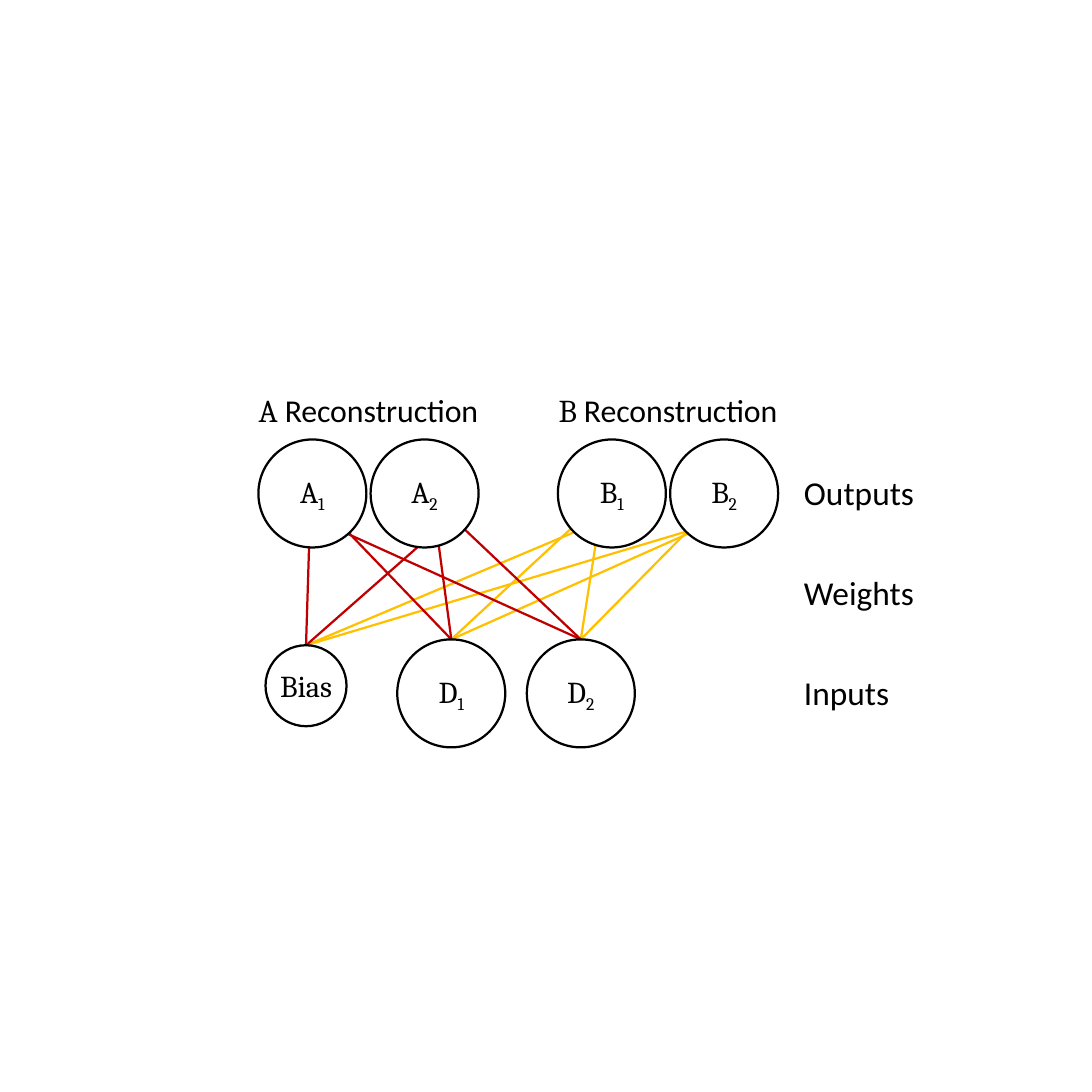
from math import cos, radians, sin

from lxml.etree import SubElement
from pptx import Presentation
from pptx.dml.color import RGBColor
from pptx.enum.shapes import MSO_CONNECTOR, MSO_SHAPE
from pptx.enum.text import MSO_ANCHOR, PP_ALIGN
from pptx.oxml.ns import qn
from pptx.util import Pt

BLACK = RGBColor(0x00, 0x00, 0x00)
WHITE = RGBColor(0xFF, 0xFF, 0xFF)
RED = RGBColor(0xC0, 0x00, 0x00)
GOLD = RGBColor(0xFF, 0xC0, 0x00)
SERIF, SANS = "Cambria", "Calibri"

LAYERS = ["Outputs", "Weights", "Inputs"]
OUTPUT_GROUPS = {"A": 103, "B": 201.75}
INPUT_GROUP = {"D": 148.8}
BIAS = "Bias"
WEIGHTS = [
    (BIAS, "B1", "right", GOLD),
    (BIAS, "B2", "bottom left", GOLD),
    ("D1", "B1", "top right", GOLD),
    ("D1", "B2", "right", GOLD),
    ("D2", "B1", "top", GOLD),
    ("D2", "B2", "top right", GOLD),
    (BIAS, "A2", "right", RED),
    ("D1", "A2", "top", RED),
    ("D2", "A2", "top left", RED),
    (BIAS, "A1", "top", RED),
    ("D2", "A1", "left", RED),
    ("D1", "A1", "top left", RED),
]
SITE_ANGLES = {"right": 0, "top right": 45, "top": 90, "top left": 135,
               "left": 180, "bottom left": 225}

UNIT_SIZE, BIAS_SIZE = 35.6, 26.7
OUTPUT_Y, INPUT_Y = 162.7, 228.6
OUTPUT_STEP, INPUT_STEP = 37, 42.7
HEADING_TOP, HEADING_WIDTH, HEADING_HEIGHT = 128.9, 81.4, 13
LAYER_LEFT, LAYER_TOP, LAYER_STEP = 265, 155.5, 33.1
LAYER_WIDTH, LAYER_HEIGHT = 72.7, 13.7
LINE_WIDTH = 0.75

units = {BIAS: (100.9, 226.1, BIAS_SIZE)}
for groups, y, step in ((OUTPUT_GROUPS, OUTPUT_Y, OUTPUT_STEP),
                        (INPUT_GROUP, INPUT_Y, INPUT_STEP)):
    for letter, first_x in groups.items():
        for index in range(2):
            units[f"{letter}{index + 1}"] = (first_x + index * step, y, UNIT_SIZE)

presentation = Presentation()
presentation.slide_width = presentation.slide_height = Pt(360)
slide = presentation.slides.add_slide(presentation.slide_layouts[6])


def write(holder, *parts, size, align=PP_ALIGN.LEFT, anchor=MSO_ANCHOR.TOP):
    frame = holder.text_frame
    frame.word_wrap = True
    frame.margin_left = frame.margin_right = Pt(0)
    frame.margin_top = frame.margin_bottom = Pt(0)
    frame.vertical_anchor = anchor
    paragraph = frame.paragraphs[0]
    paragraph.alignment = align
    for text, font, baseline in parts:
        run = paragraph.add_run()
        run.text = text
        run.font.name = font
        run.font.size = Pt(size)
        run.font.color.rgb = BLACK
        if baseline:
            run.font._element.set("baseline", str(baseline))


def site(unit, side):
    x, y, size = units[unit]
    angle = radians(SITE_ANGLES[side])
    return Pt(x + size / 2 * cos(angle)), Pt(y - size / 2 * sin(angle))


for source, target, side, color in WEIGHTS:
    weight = slide.shapes.add_connector(
        MSO_CONNECTOR.STRAIGHT, *site(source, "top"), *site(target, side))
    weight.line.color.rgb = color
    weight.line.width = Pt(LINE_WIDTH)
    SubElement(weight._element.spPr, qn("a:effectLst"))

for name, (x, y, size) in units.items():
    circle = slide.shapes.add_shape(
        MSO_SHAPE.OVAL, Pt(x - size / 2), Pt(y - size / 2), Pt(size), Pt(size))
    circle.shadow.inherit = False
    circle.fill.solid()
    circle.fill.fore_color.rgb = WHITE
    circle.line.color.rgb = BLACK
    circle.line.width = Pt(LINE_WIDTH)
    if name == BIAS:
        parts = [(name, SERIF, 0)]
    else:
        parts = [(name[0], SERIF, 0), (name[1], SERIF, -25000)]
    write(circle, *parts, size=10, align=PP_ALIGN.CENTER, anchor=MSO_ANCHOR.MIDDLE)

for letter, first_x in OUTPUT_GROUPS.items():
    left = first_x + (OUTPUT_STEP - HEADING_WIDTH) / 2
    heading = slide.shapes.add_textbox(
        Pt(left), Pt(HEADING_TOP), Pt(HEADING_WIDTH), Pt(HEADING_HEIGHT))
    write(heading, (letter, SERIF, 0), (" Reconstruction", SANS, 0),
          size=10.5, align=PP_ALIGN.CENTER)

for row, layer in enumerate(LAYERS):
    label = slide.shapes.add_textbox(
        Pt(LAYER_LEFT), Pt(LAYER_TOP + row * LAYER_STEP),
        Pt(LAYER_WIDTH), Pt(LAYER_HEIGHT))
    write(label, (layer, SANS, 0), size=11)

presentation.save("out.pptx")
